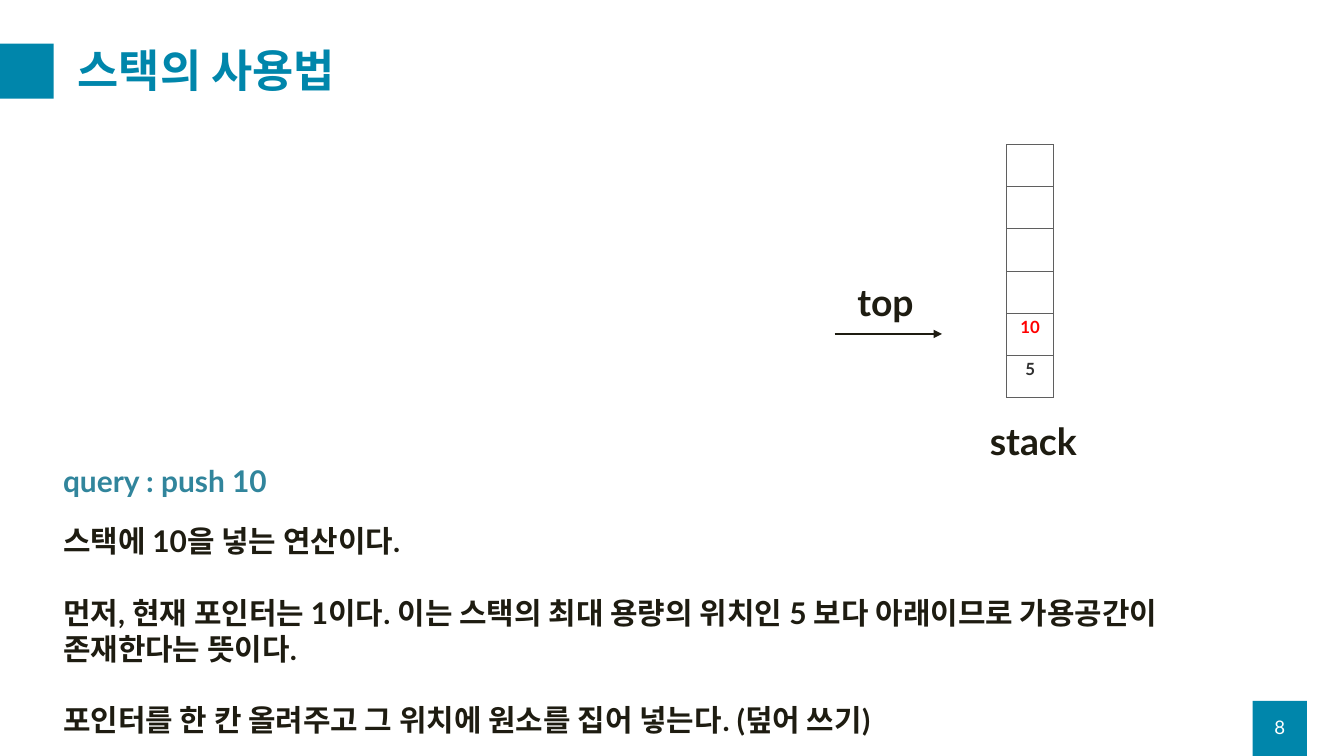
import pptx
import pptx.util
import pptx.dml.color
import pptx.enum.shapes
import pptx.enum.text
import pptx.oxml
import pptx.oxml.ns

Pt = pptx.util.Pt
ALIGN = pptx.enum.text.PP_ALIGN
ANCHOR = pptx.enum.text.MSO_ANCHOR
FONT = "Lato"
COLORS = {"accent": "0086AB", "query": "31859C", "ink": "1E1C11", "white": "FFFFFF",
          "border": "5F5F5F", "new": "FF0000", "value": "303030"}


def rgb(name):
    return pptx.dml.color.RGBColor.from_string(COLORS[name])


def write(tf, text, size=32, color="ink", bold=True, align=ALIGN.LEFT, gap=0, spacing=None):
    """Fill a text frame, one paragraph per line of text."""
    for i, line in enumerate(text.split("\n")):
        p = tf.add_paragraph() if i else tf.paragraphs[0]
        p.alignment = align
        if i and gap:
            p.space_before = Pt(gap)
        if spacing:
            p.line_spacing = spacing
        r = p.add_run()
        r.text = line
        r.font.name = FONT
        r.font.size = Pt(size)
        r.font.bold = bold
        r.font.color.rgb = rgb(color)


def add_text(slide, box, text, anchor=ANCHOR.TOP, **fmt):
    tf = slide.shapes.add_textbox(*map(Pt, box)).text_frame
    tf.word_wrap = True
    tf.vertical_anchor = anchor
    write(tf, text, **fmt)


def add_block(slide, box):
    sp = slide.shapes.add_shape(pptx.enum.shapes.MSO_SHAPE.RECTANGLE, *map(Pt, box))
    sp.shadow.inherit = False
    sp.fill.solid()
    sp.fill.fore_color.rgb = rgb("accent")
    sp.line.fill.background()


def add_header(slide, box, title):
    x, y, w, h = box
    add_block(slide, (x, y + 10.8, 57.6, 59))
    add_text(slide, (x + 76.3, y, w - 76.3, h), title, anchor=ANCHOR.MIDDLE,
             size=48, color="accent", spacing=0.9)


def add_page_number(slide, box, number):
    x, y, w, h = box
    add_block(slide, box)
    add_text(slide, (x, y + 6.5, w, 43.2), number, anchor=ANCHOR.MIDDLE,
             size=20, color="white", bold=False, align=ALIGN.CENTER)


def set_borders(cell):
    tcPr = cell._tc.get_or_add_tcPr()
    for side in ("lnL", "lnR", "lnT", "lnB"):
        tcPr.append(pptx.oxml.parse_xml(
            f'<a:{side} {pptx.oxml.ns.nsdecls("a")} w="{Pt(1)}"><a:solidFill>'
            f'<a:srgbClr val="{COLORS["border"]}"/></a:solidFill></a:{side}>'))


def add_stack(slide, box, values):
    """Draw the stack as a one-column table, top cell first, with its label."""
    x, y, w, h = box
    frame = slide.shapes.add_table(len(values), 1, *map(Pt, box))
    table = frame.table
    table.first_row = table.horz_banding = False
    table.columns[0].width = Pt(w)
    for row, (text, color) in zip(table.rows, values):
        row.height = Pt(h / len(values))
        cell = row.cells[0]
        set_borders(cell)
        cell.fill.background()
        if text:
            write(cell.text_frame, text, size=18, color=color, align=ALIGN.CENTER)
    add_text(slide, (x - 25.2, y + h + 18.7, 123, 55.4), "stack", size=40)


def add_pointer(slide, box, label):
    """Label above an arrow that runs along the bottom of the box."""
    x, y, w, h = box
    add_text(slide, (x + 17.3, y, 123, 55.4), label, size=40)
    line = slide.shapes.add_connector(pptx.enum.shapes.MSO_CONNECTOR.STRAIGHT,
                                      Pt(x), Pt(y + h), Pt(x + w), Pt(y + h))
    line.line.width = Pt(3)
    line.line.color.rgb = rgb("ink")
    ns = pptx.oxml.ns.nsdecls("a")
    line.line._get_or_add_ln().append(
        pptx.oxml.parse_xml(f'<a:tailEnd {ns} type="triangle"/>'))
    line._element.spPr.append(pptx.oxml.parse_xml(f"<a:effectLst {ns}/>"))


def add_explanation(slide, box, query, text):
    x, y, w, h = box
    add_text(slide, (x, y, 417.6, 46), query, color="query")
    add_text(slide, (x, y + 64.8, w, h - 64.8), text, gap=38.4)


def main():
    prs = pptx.Presentation()
    prs.slide_width, prs.slide_height = Pt(1440), Pt(810)
    slide = prs.slides.add_slide(prs.slide_layouts[6])

    # Title and page number
    add_header(slide, (0, 36, 1390, 85), "스택의 사용법")
    add_page_number(slide, (1342, 751, 58.3, 59), "8")

    # Stack diagram
    empty = [("", "value")] * 4
    add_stack(slide, (1078.6, 154.8, 50.4, 271.4), empty + [("10", "new"), ("5", "value")])
    add_pointer(slide, (894.2, 296, 115.2, 61.8), "top")

    # Query and its explanation
    add_explanation(slide, (60.5, 491.8, 1247, 304.6), "query : push 10",
                    "스택에 10을 넣는 연산이다.\n"
                    "먼저, 현재 포인터는 1이다. 이는 스택의 최대 용량의 위치인 5 보다 아래이므로 "
                    "가용공간이 존재한다는 뜻이다.\n"
                    "포인터를 한 칸 올려주고 그 위치에 원소를 집어 넣는다. (덮어 쓰기)")
    prs.save("out.pptx")


if __name__ == "__main__":
    main()
